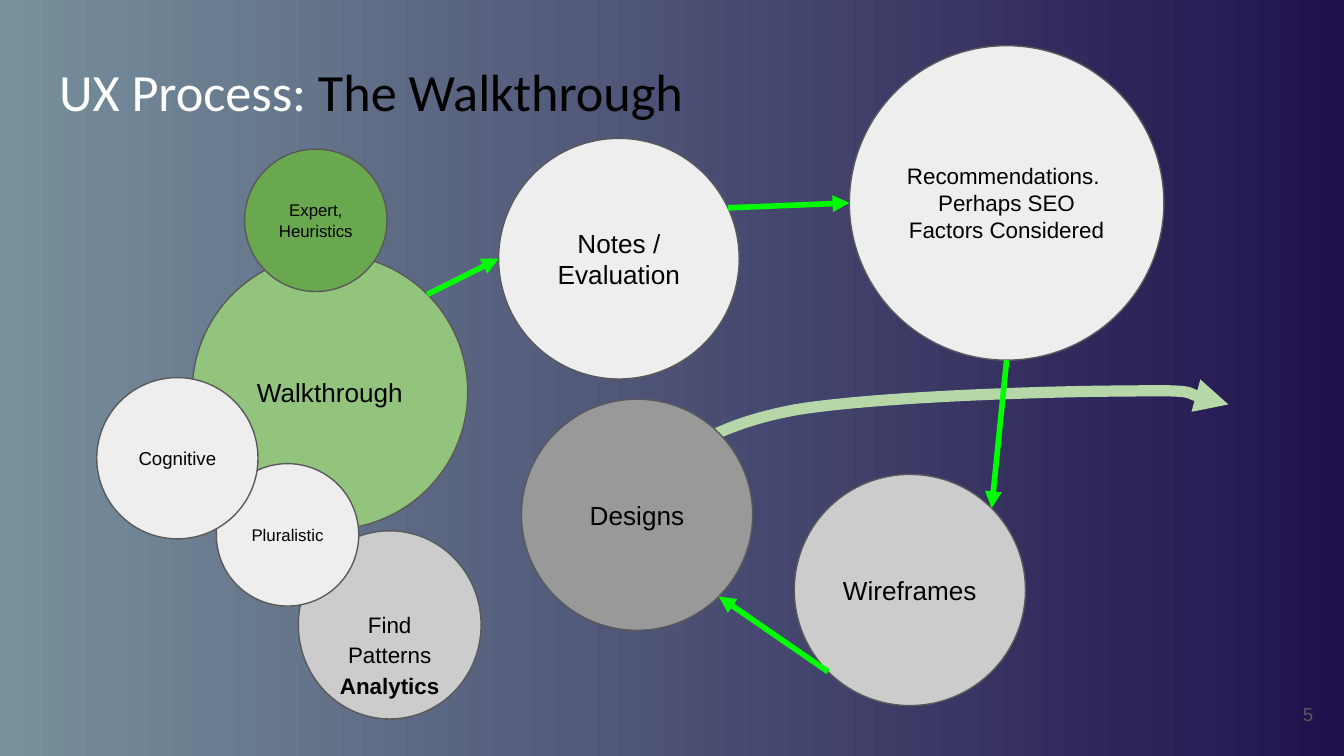
from math import cos, radians, sin

from lxml import etree
from pptx import Presentation
from pptx import util as u
from pptx.dml.color import RGBColor
from pptx.enum import shapes, text
from pptx.oxml import ns

PX = 9144
BLACK = RGBColor(0x00, 0x00, 0x00)
WHITE = RGBColor(0xFF, 0xFF, 0xFF)
PALE = RGBColor(0xEE, 0xEE, 0xEE)
SILVER = RGBColor(0xCC, 0xCC, 0xCC)
GRAY = RGBColor(0x99, 0x99, 0x99)
EDGE = RGBColor(0x59, 0x59, 0x59)
LEAF = RGBColor(0x93, 0xC4, 0x7D)
MOSS = RGBColor(0x6A, 0xA8, 0x4F)
MINT = RGBColor(0xB6, 0xD7, 0xA8)
LIME = RGBColor(0x00, 0xFF, 0x00)
SLATE = RGBColor(0x78, 0x90, 0x9C)
NAVY = RGBColor(0x20, 0x12, 0x4D)


def px(*nums):
    """Turn px lengths into EMU."""
    return [round(n * PX) for n in nums]


def add_run(para, words, size, color=BLACK, font="Arial", bold=False):
    """Append one formatted run."""
    run = para.add_run()
    run.text = words
    run.font.size = u.Pt(size)
    run.font.name = font
    run.font.bold = bold
    run.font.color.rgb = color


def set_frame(frame, anchor, side=10):
    """Set wrapping, anchor and insets of a text frame."""
    frame.word_wrap = True
    frame.auto_size = text.MSO_AUTO_SIZE.NONE
    frame.vertical_anchor = anchor
    frame.margin_left, frame.margin_right = px(side, side)
    frame.margin_top, frame.margin_bottom = px(10, 10)


def add_disc(slide, box, fill, size, *lines):
    """Draw an outlined ellipse with centred lines of text."""
    disc = slide.shapes.add_shape(shapes.MSO_SHAPE.OVAL, *px(*box))
    disc.shadow.inherit = False
    disc.fill.solid()
    disc.fill.fore_color.rgb = fill
    disc.line.color.rgb = EDGE
    disc.line.width = u.Pt(0.75)
    frame = disc.text_frame
    set_frame(frame, text.MSO_ANCHOR.MIDDLE, 8)
    for i, words in enumerate(lines):
        para = frame.add_paragraph() if i else frame.paragraphs[0]
        para.alignment = text.PP_ALIGN.CENTER
        add_run(para, words, size)
    return disc


def rim(disc, angle):
    """Find the point on a disc's edge, clockwise from the right."""
    rx, ry = disc.width / 2, disc.height / 2
    turn = radians(angle)
    return (round(disc.left + rx + rx * cos(turn)),
            round(disc.top + ry + ry * sin(turn)))


def set_line(shape, color, width, **ends):
    """Colour a line and add its end marks."""
    shape.line.color.rgb = color
    shape.line.width = u.Pt(width)
    ln = shape.line._get_or_add_ln()
    for tag, kind in ends.items():
        etree.SubElement(ln, ns.qn(f"a:{tag}End"), type=kind)


def add_arrow(slide, start, out, end, into):
    """Join two discs with an arrow from edge to edge."""
    arrow = slide.shapes.add_connector(
        shapes.MSO_CONNECTOR.STRAIGHT, *rim(start, out), *rim(end, into))
    set_line(arrow, LIME, 3, tail="triangle")
    etree.SubElement(arrow._element.spPr, ns.qn("a:effectLst"))


def add_curve(slide, points):
    """Draw a thick open Bezier arrow through triples of points."""
    pen = slide.shapes.build_freeform(*points[0], scale=PX)
    pen.add_line_segments(points[1:], close=False)
    curve = pen.convert_to_shape()
    curve.shadow.inherit = False
    curve.fill.background()
    set_line(curve, MINT, 6, head="oval", tail="triangle")
    route = next(curve._element.iter(ns.qn("a:path")))
    legs = route.findall(ns.qn("a:lnTo"))
    for i in range(0, len(legs), 3):
        bend = etree.SubElement(route, ns.qn("a:cubicBezTo"))
        for leg in legs[i:i + 3]:
            bend.append(leg[0])
            route.remove(leg)


def add_title(slide, box):
    """Fill the title placeholder."""
    title = slide.shapes.title
    title.left, title.top, title.width, title.height = px(*box)
    set_frame(title.text_frame, text.MSO_ANCHOR.TOP)
    para = title.text_frame.paragraphs[0]
    para.alignment = text.PP_ALIGN.LEFT
    add_run(para, "UX Process:", 28, WHITE, "Calibri")
    add_run(para, " The Walkthrough", 28, BLACK, "Calibri")


def add_study(slide, x, y):
    """Draw the walkthrough and its kinds, and return the main disc."""
    find = add_disc(slide, (x + 150, y + 284, 136, 140), SILVER, 12,
                    "Find Patterns ")
    find.text_frame.vertical_anchor = text.MSO_ANCHOR.TOP
    find.text_frame.margin_top = px(36)[0]
    para = find.text_frame.paragraphs[0]
    para.line_spacing = 1.15
    add_run(para, "Analytics", 12, bold=True)
    main = add_disc(slide, (x + 71, y + 78, 205, 205), LEAF, 14, "Walkthrough")
    for dx, dy, side, fill, size, words in (
            (110, 0, 106, MOSS, 9, "Expert, Heuristics"),
            (89, 234, 106, PALE, 9, "Pluralistic"),
            (0, 170, 120, PALE, 10, "Cognitive")):
        add_disc(slide, (x + dx, y + dy, side, side), fill, size, words)
    return main


def add_flow(slide, x, y, source):
    """Draw the steps that follow the source disc."""
    notes = add_disc(slide, (x, y + 69, 179, 179), PALE, 14,
                     "Notes / Evaluation")
    wires = add_disc(slide, (x + 220, y + 319, 172, 172), SILVER, 14,
                     "Wireframes")
    bends = ((109, 319), (127, 311), (161, 282), (221, 271), (281, 261),
             (415, 257), (469, 257), (522, 256), (530, 265), (543, 267))
    add_curve(slide, [(x + dx, y + dy) for dx, dy in bends])
    advice = add_disc(slide, (x + 261, y, 234, 234), PALE, 12,
                      "Recommendations. ", "Perhaps SEO Factors Considered")
    design = add_disc(slide, (x + 17, y + 263, 172, 172), GRAY, 14, "Designs")
    add_arrow(slide, source, -45, notes, 180)
    add_arrow(slide, notes, -25, advice, 180)
    add_arrow(slide, advice, 90, wires, -45)
    add_arrow(slide, wires, 135, design, 45)


def add_number(slide, box):
    """Write the page number."""
    frame = slide.shapes.add_textbox(*px(*box)).text_frame
    set_frame(frame, text.MSO_ANCHOR.MIDDLE)
    frame.paragraphs[0].alignment = text.PP_ALIGN.RIGHT
    add_run(frame.paragraphs[0], "5", 10, EDGE)


def main():
    """Build and save the slide."""
    deck = Presentation()
    deck.slide_width = px(1000)[0]
    deck.slide_height = deck.slide_width * 9 // 16
    slide = deck.slides.add_slide(deck.slide_layouts[5])
    back = slide.background.fill
    back.gradient()
    back.gradient_angle = 0
    for stop, color in zip(back.gradient_stops, (SLATE, NAVY)):
        stop.color.rgb = color
    add_title(slide, (34, 34, 932, 63))
    source = add_study(slide, 72, 111)
    add_flow(slide, 371, 34, source)
    add_number(slide, (927, 510, 60, 43))
    deck.save("out.pptx")


if __name__ == "__main__":
    main()
